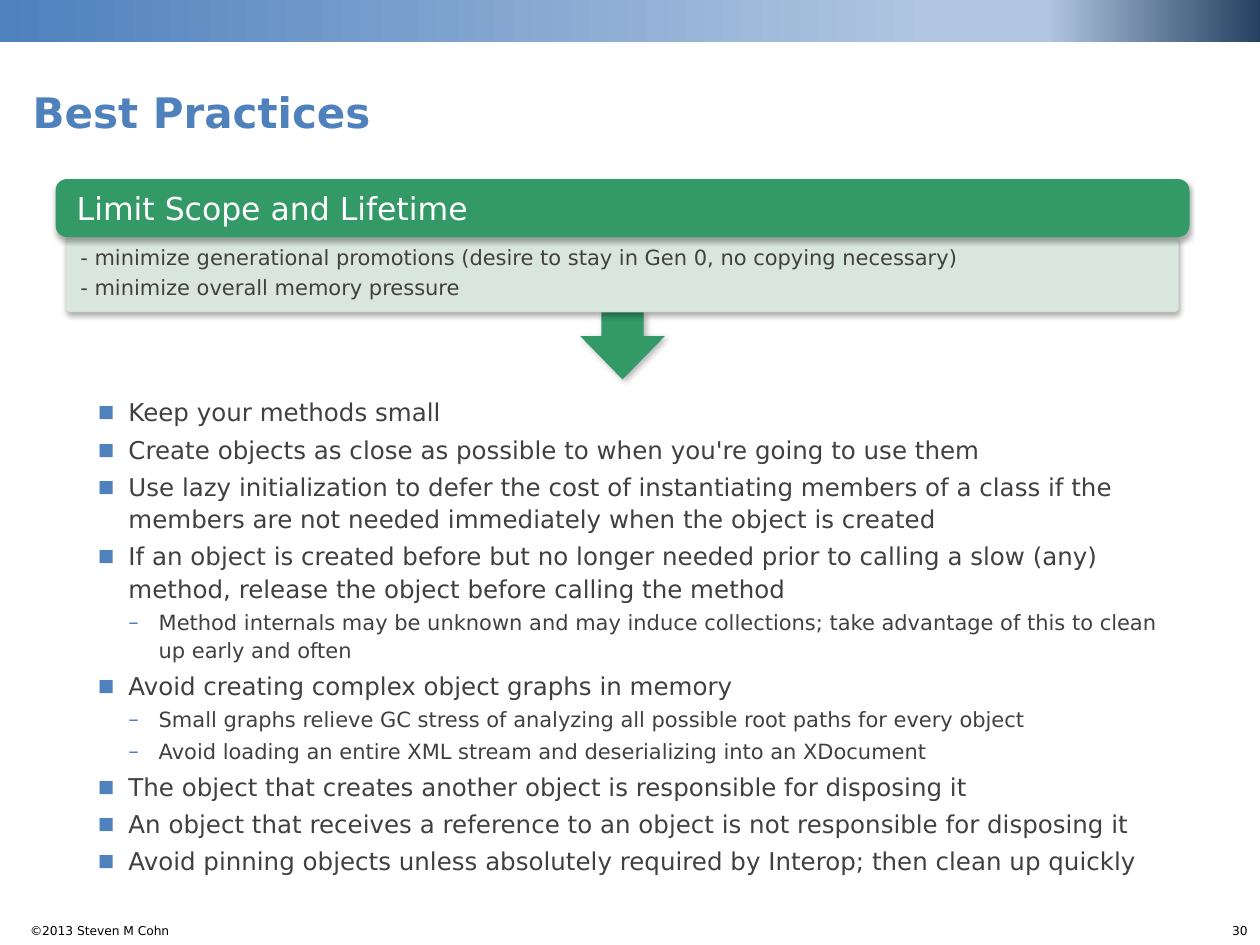
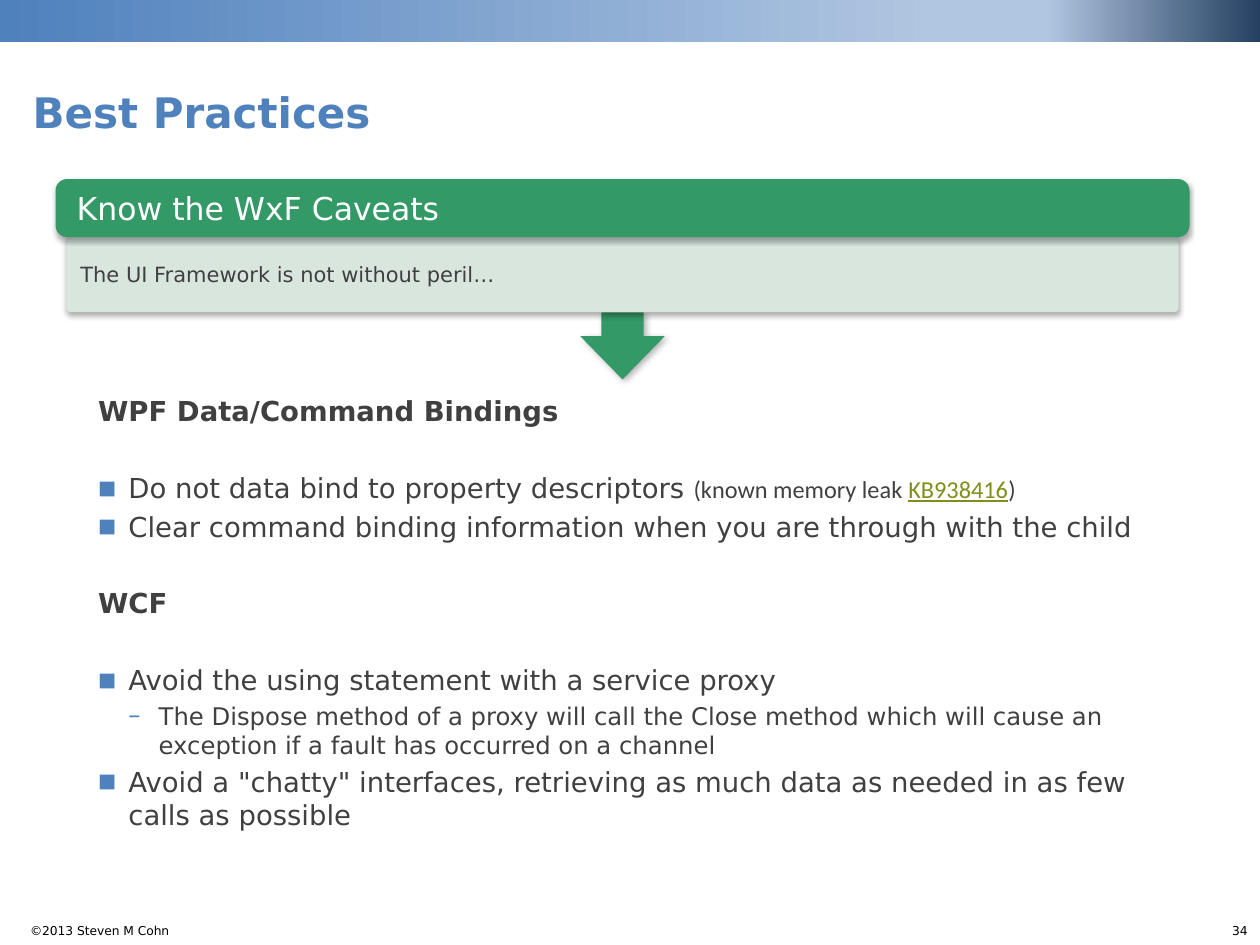
from lxml import etree
from pptx import Presentation
from pptx.dml.color import RGBColor
from pptx.enum.shapes import MSO_SHAPE
from pptx.enum.text import MSO_ANCHOR, PP_ALIGN
from pptx.oxml.ns import qn
from pptx.util import Cm, Pt

RECTANGLE = MSO_SHAPE.RECTANGLE
ROUNDED = MSO_SHAPE.ROUNDED_RECTANGLE
ROUND_BOTTOM = MSO_SHAPE.ROUND_2_SAME_RECTANGLE
DOWN_ARROW = MSO_SHAPE.DOWN_ARROW
TOP, MIDDLE, BOTTOM = MSO_ANCHOR.TOP, MSO_ANCHOR.MIDDLE, MSO_ANCHOR.BOTTOM
LEFT, RIGHT = PP_ALIGN.LEFT, PP_ALIGN.RIGHT

COLORS = {
    "blue": "4F81BD", "pale_blue": "B0C6E1", "navy": "254061",
    "green": "339966", "mint": "DDEDE4", "mint_line": "D8E8DF",
    "text": "404040", "reference": "818E1C", "white": "FFFFFF", "black": "000000",
}
BAND_STOPS = [(0, "blue"), (74, "pale_blue"), (83, "pale_blue"), (100, "navy")]
FONT = "DejaVu Sans"
NOTE_FONT = "Calibri"
DEFAULT_INSETS = (0.25, 0.13, 0.25, 0.13)
INDENTS = {"heading": (0.66, 0), "point": (1.27, -0.61), "detail": (1.88, -0.61)}
BULLETS = {"point": ("■", 70), "detail": ("–", 100)}

BAND_BOX = (0, 0, 25.4, 0.84)
TITLE_BOX = (0.41, 0.64, 19.05, 2.26)
COPYRIGHT_BOX = (0.28, 18.49, 3.38, 0.56)
NUMBER_BOX = (24.38, 18.49, 1.02, 0.56)
CALLOUT_BOX = (1.12, 3.61, 22.86, 4.04)
BODY_BOX = (1.07, 7.82, 22.86, 9.96)


def rgb(name):
    return RGBColor.from_string(COLORS[name])


def child(parent, tag, **attributes):
    return etree.SubElement(parent, qn(tag), attributes)


def set_font(font, size, color, name=FONT, bold=False):
    font.name = name
    font.size = Pt(size)
    font.bold = bold
    font.color.rgb = rgb(color)


def setup_frame(frame, anchor, insets=DEFAULT_INSETS):
    frame.word_wrap = True
    frame.vertical_anchor = anchor
    (frame.margin_left, frame.margin_top,
     frame.margin_right, frame.margin_bottom) = map(Cm, insets)


def paragraphs(frame, count):
    return [frame.paragraphs[0]] + [frame.add_paragraph() for _ in range(count - 1)]


def add_text(page, box, text, size, color, anchor=TOP, align=LEFT,
             bold=False, insets=DEFAULT_INSETS):
    frame = page.shapes.add_textbox(*map(Cm, box)).text_frame
    setup_frame(frame, anchor, insets)
    para = frame.paragraphs[0]
    para.text = text
    para.alignment = align
    set_font(para.font, size, color, bold=bold)


def add_block(page, kind, box, color, adjustments=()):
    shape = page.shapes.add_shape(kind, *map(Cm, box))
    shape.shadow.inherit = False
    shape.fill.solid()
    shape.fill.fore_color.rgb = rgb(color)
    shape.line.fill.background()
    for index, value in enumerate(adjustments):
        shape.adjustments[index] = value
    return shape


def add_shadow(shape, alpha, blur, distance, angle):
    effects = shape.element.spPr.find(qn("a:effectLst"))
    shadow = child(effects, "a:outerShdw", blurRad=str(Pt(blur)), dist=str(Pt(distance)),
                   dir=str(angle * 60000), algn="ctr", rotWithShape="0")
    shade = child(shadow, "a:srgbClr", val=COLORS["black"])
    child(shade, "a:alpha", val=str(alpha * 1000))


def set_opacity(fill_parent, percent):
    shade = fill_parent.find(qn("a:solidFill")).find(qn("a:srgbClr"))
    child(shade, "a:alpha", val=str(percent * 1000))


def add_band(page, box):
    band = add_block(page, RECTANGLE, box, "blue")
    band.fill.gradient()
    band.fill.gradient_angle = 0
    stops = band.element.spPr.find(qn("a:gradFill")).find(qn("a:gsLst"))
    for stop in list(stops):
        stops.remove(stop)
    for position, color in BAND_STOPS:
        stop = child(stops, "a:gs", pos=str(position * 1000))
        child(stop, "a:srgbClr", val=COLORS[color])


def add_frame(page, title, number):
    for box, text in ((COPYRIGHT_BOX, "©2013 Steven M Cohn"), (NUMBER_BOX, str(number))):
        add_text(page, box, text, 7, "black", align=RIGHT, insets=(0, 0.13, 0.25, 0.13))
    add_band(page, BAND_BOX)
    add_text(page, TITLE_BOX, title, 24, "blue", anchor=BOTTOM, bold=True)


def fill_callout_text(shape, lines, size, color, anchor, insets):
    frame = shape.text_frame
    setup_frame(frame, anchor, insets)
    for para, line in zip(paragraphs(frame, len(lines)), lines):
        para.text = line
        para.alignment = LEFT
        para.line_spacing = 0.9
        para.space_after = Pt(0.35 * size)
        set_font(para.font, size, color)


def add_callout(page, box, heading, lines, anchor):
    left, top, width, height = box
    header_height, panel_height, panel_inset = 1.17, 1.5, 0.23
    arrow_width, arrow_height = 1.7, 1.35

    arrow = add_block(page, DOWN_ARROW,
                      (left + (width - arrow_width) / 2, top + height - arrow_height,
                       arrow_width, arrow_height), "green", (0.5, 0.645))
    add_shadow(arrow, 30, 4, 2, 45)

    panel = add_block(page, ROUND_BOTTOM,
                      (left + panel_inset, top + header_height,
                       width - 2 * panel_inset, panel_height), "mint", (0, 0.05))
    panel.line.color.rgb = rgb("mint_line")
    panel.line.width = Pt(0.75)
    properties = panel.element.spPr
    set_opacity(properties, 90)
    set_opacity(properties.find(qn("a:ln")), 90)
    fill_callout_text(panel, lines, 12, "text", anchor, (0.25, 0.2, 0.25, 0.13))

    header = add_block(page, ROUNDED, (left, top, width, header_height), "green", (0.2,))
    fill_callout_text(header, [heading], 18, "white", MIDDLE, (0.36, 0.33, 0.36, 0.25))
    for shape in (panel, header):
        add_shadow(shape, 35, 3.1, 1.8, 90)


def set_indent(para, style):
    properties = para._p.get_or_add_pPr()
    margin, indent = INDENTS[style]
    properties.set("marL", str(Cm(margin)))
    properties.set("indent", str(Cm(indent)))
    if style in BULLETS:
        symbol, percent = BULLETS[style]
        child(child(properties, "a:buClr"), "a:srgbClr", val=COLORS["blue"])
        child(properties, "a:buSzPct", val=str(percent * 1000))
        child(properties, "a:buFont", typeface=FONT)
        child(properties, "a:buChar", char=symbol)


def add_body(page, box, items, sizes, line_spacing, section_gap):
    frame = page.shapes.add_textbox(*map(Cm, box)).text_frame
    setup_frame(frame, TOP)
    previous = None
    for para, (style, text) in zip(paragraphs(frame, len(items)), items):
        size = sizes[style]
        set_indent(para, style)
        para.level = 1 if style == "detail" else 0
        para.line_spacing = line_spacing
        if previous:
            starts_section = "heading" in (style, previous)
            para.space_before = Pt(section_gap if starts_section else 0.2 * size)
        set_font(para.font, size, "text", bold=style == "heading")
        pieces = [(text, None)] if isinstance(text, str) else text
        for words, color in pieces:
            span = para.add_run()
            span.text = words
            if color:
                set_font(span.font, sizes["detail"], color, NOTE_FONT)
                span.font.underline = color == "reference"
        previous = style


def add_practice_page(deck, number, heading, lines, anchor, items, sizes,
                      line_spacing=1.0, section_gap=0):
    page = deck.slides.add_slide(deck.slide_layouts[6])
    add_frame(page, "Best Practices", number)
    add_body(page, BODY_BOX, items, sizes, line_spacing, section_gap)
    add_callout(page, CALLOUT_BOX, heading, lines, anchor)


SCOPE_ITEMS = [
    ("point", "Keep your methods small"),
    ("point", "Create objects as close as possible to when you're going to use them"),
    ("point", "Use lazy initialization to defer the cost of instantiating members of a class "
              "if the members are not needed immediately when the object is created"),
    ("point", "If an object is created before but no longer needed prior to calling a slow "
              "(any) method, release the object before calling the method"),
    ("detail", "Method internals may be unknown and may induce collections; take advantage "
               "of this to clean up early and often"),
    ("point", "Avoid creating complex object graphs in memory"),
    ("detail", "Small graphs relieve GC stress of analyzing all possible root paths "
               "for every object"),
    ("detail", "Avoid loading an entire XML stream and deserializing into an XDocument"),
    ("point", "The object that creates another object is responsible for disposing it"),
    ("point", "An object that receives a reference to an object is not responsible "
              "for disposing it"),
    ("point", "Avoid pinning objects unless absolutely required by Interop; "
              "then clean up quickly"),
]
CAVEAT_ITEMS = [
    ("heading", "WPF Data/Command Bindings"),
    ("point", [("Do not data bind to property descriptors ", None),
               ("(known memory leak ", "text"), ("KB938416", "reference"), (")", "text")]),
    ("point", "Clear command binding information when you are through with the child"),
    ("heading", "WCF"),
    ("point", "Avoid the using statement with a service proxy"),
    ("detail", "The Dispose method of a proxy will call the Close method which will cause "
               "an exception if a fault has occurred on a channel"),
    ("point", "Avoid a \"chatty\" interfaces, retrieving as much data as needed "
              "in as few calls as possible"),
]


def main():
    deck = Presentation()
    deck.slide_width, deck.slide_height = Cm(25.4), Cm(19.05)
    add_practice_page(
        deck, 30, "Limit Scope and Lifetime",
        ["- minimize generational promotions (desire to stay in Gen 0, no copying necessary)",
         "- minimize overall memory pressure"],
        TOP, SCOPE_ITEMS, {"point": 14, "detail": 12}, line_spacing=1.1)
    add_practice_page(
        deck, 34, "Know the WxF Caveats", ["The UI Framework is not without peril…"],
        MIDDLE, CAVEAT_ITEMS, {"heading": 15.7, "point": 15.7, "detail": 13.9},
        section_gap=25)
    deck.save("out.pptx")


if __name__ == "__main__":
    main()
